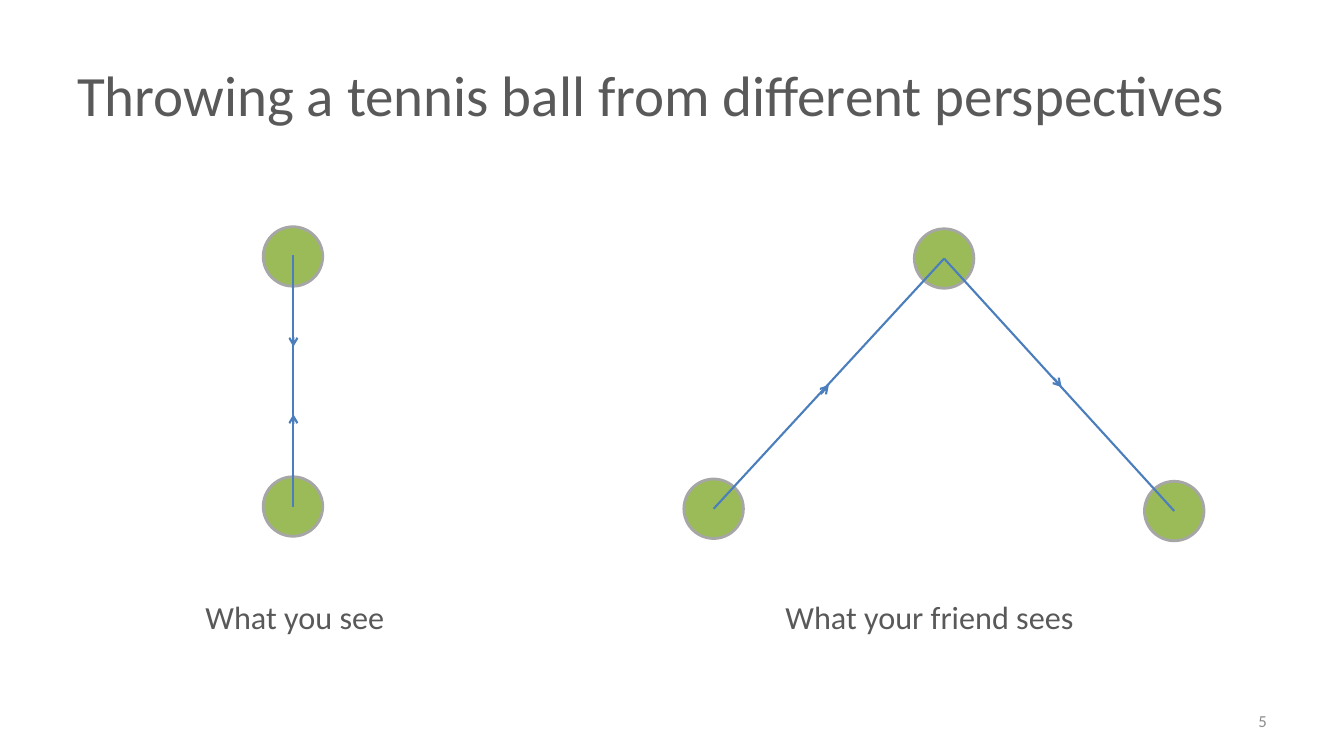
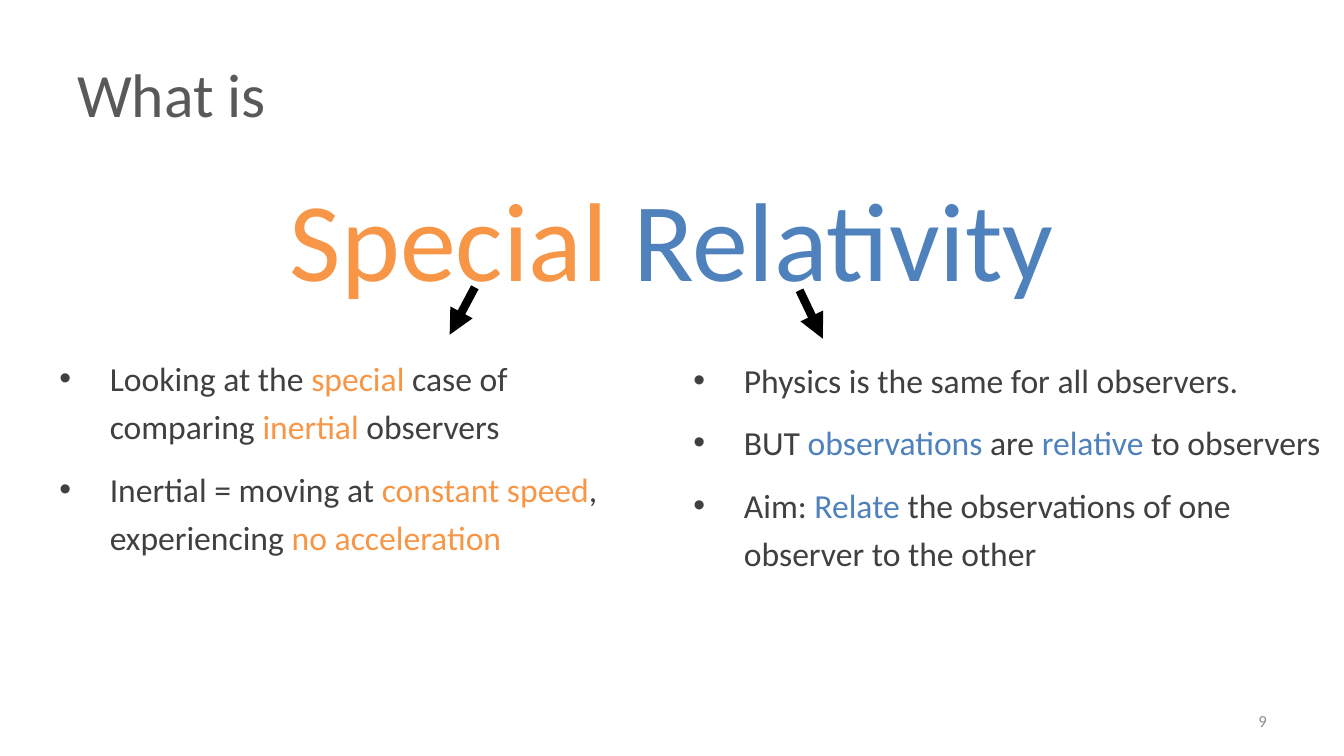
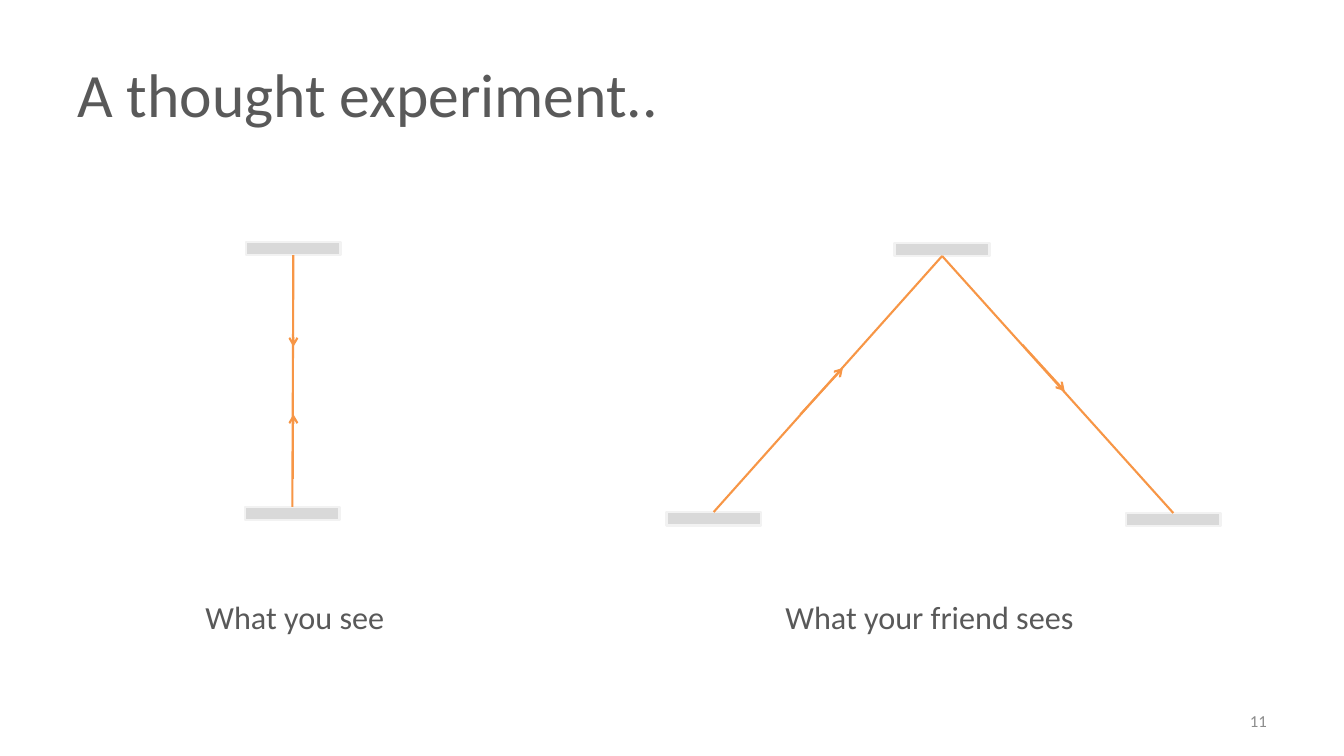
"""Build three slides on relative motion and special relativity."""
from lxml import etree
from pptx import Presentation
from pptx.dml.color import RGBColor
from pptx.enum.shapes import MSO_CONNECTOR, MSO_SHAPE
from pptx.enum.text import MSO_ANCHOR, PP_ALIGN
from pptx.oxml.ns import qn
from pptx.util import Inches, Pt

STRAIGHT = MSO_CONNECTOR.STRAIGHT
BALL, MIRROR = MSO_SHAPE.OVAL, MSO_SHAPE.RECTANGLE
TOP, MIDDLE = MSO_ANCHOR.TOP, MSO_ANCHOR.MIDDLE
LEFT, CENTER, RIGHT = PP_ALIGN.LEFT, PP_ALIGN.CENTER, PP_ALIGN.RIGHT
TOP_SITE, BOTTOM_SITE = 0, 2

SLIDE_W, SLIDE_H = Inches(13.33), Inches(7.5)
COL, ROW = SLIDE_W / 100, SLIDE_H / 100

FONT = "Calibri"
TITLE_GREY = RGBColor(0x59, 0x59, 0x59)
BODY_GREY = RGBColor(0x40, 0x40, 0x40)
NUMBER_GREY = RGBColor(0x8C, 0x8C, 0x8C)
ORANGE = RGBColor(0xF7, 0x96, 0x46)
BLUE = RGBColor(0x4F, 0x81, 0xBD)
RAY_BLUE = RGBColor(0x4B, 0x7E, 0xBC)
BLACK = RGBColor(0, 0, 0)

BALL_LOOK = {"kind": BALL, "size": (4.43, 7.87),
             "fill": RGBColor(0x9B, 0xBB, 0x59), "edge": RGBColor(0xA6, 0xA6, 0xA6)}
MIRROR_LOOK = {"kind": MIRROR, "size": (7.05, 1.73),
               "fill": RGBColor(0xD9, 0xD9, 0xD9), "edge": RGBColor(0xF2, 0xF2, 0xF2)}

BALL_SPOTS = ((21.8, 33.93), (21.8, 67), (70.25, 34.2), (53.1, 67.3), (87.37, 67.6))
MIRROR_SPOTS = ((21.83, 32.87), (21.75, 67.93), (70.1, 33), (53.1, 68.6), (87.3, 68.73))
TRIPS = ((1, 0), (3, 2), (4, 2))
YOU_HEADINGS = (((21.83, 63.33), (21.83, 54.8)), ((21.83, 33.73), (21.83, 45.87)))
BALL_HEADINGS = (((61.07, 52.13), (61.67, 50.93)), ((78.39, 50), (78.99, 51.2)))
LIGHT_HEADINGS = (((59.56, 54.8), (62.72, 48.67)), ((76.07, 45.6), (79.22, 51.73)))

SPECIAL_POINTS = (
    (("Looking at the ", BODY_GREY), ("special", ORANGE), (" case of comparing ", BODY_GREY),
     ("inertial", ORANGE), (" observers", BODY_GREY)),
    (("Inertial = moving at ", BODY_GREY), ("constant speed", ORANGE),
     (", experiencing ", BODY_GREY), ("no acceleration", ORANGE)),
)
RELATIVITY_POINTS = (
    (("Physics is the same for all observers.", BODY_GREY),),
    (("BUT", BODY_GREY), (" observations ", BLUE), ("are ", BODY_GREY),
     ("relative", BLUE), (" to observers", BODY_GREY)),
    (("Aim: ", BODY_GREY), ("Relate", BLUE),
     (" the observations of one observer to the other", BODY_GREY)),
)


def place(cols, rows):
    """Turn grid columns and rows into slide lengths."""
    return round(cols * COL), round(rows * ROW)


def add_bullet(paragraph):
    """Give a paragraph a round bullet with a hanging indent."""
    properties = paragraph._p.get_or_add_pPr()
    properties.set("marL", str(Inches(0.5)))
    properties.set("indent", str(-Inches(0.5)))
    etree.SubElement(properties, qn("a:buFont")).set("typeface", "Arial")
    etree.SubElement(properties, qn("a:buChar")).set("char", "•")


def add_text(slide, corner, size, paragraphs, points, align=LEFT, anchor=TOP, bullets=False):
    """Write paragraphs of (text, colour) runs in a wrapped box."""
    frame = slide.shapes.add_textbox(*place(*corner), *place(*size)).text_frame
    frame.word_wrap = True
    frame.vertical_anchor = anchor
    for index, runs in enumerate(paragraphs):
        paragraph = frame.add_paragraph() if index else frame.paragraphs[0]
        layout = {"alignment": align}
        if bullets:
            add_bullet(paragraph)
            layout.update(line_spacing=1.2, space_after=Pt(10))
        for name, value in layout.items():
            setattr(paragraph, name, value)
        for text, colour in runs:
            run = paragraph.add_run()
            run.text = text
            for name, value in {"name": FONT, "size": Pt(points)}.items():
                setattr(run.font, name, value)
            run.font.color.rgb = colour


def add_line(slide, start, end, colour, width=1.5, head=None):
    """Draw a straight line, with an arrowhead at its end if one is named."""
    line = slide.shapes.add_connector(STRAIGHT, *place(*start), *place(*end))
    line.line.color.rgb = colour
    line.line.width = Pt(width)
    if head:
        etree.SubElement(line.line._get_or_add_ln(), qn("a:tailEnd")).set("type", head)
    etree.SubElement(line._element.spPr, qn("a:effectLst"))
    return line


def add_marker(slide, center, look):
    """Draw a ball or mirror around its center."""
    corner = (middle - length / 2 for middle, length in zip(center, look["size"]))
    marker = slide.shapes.add_shape(look["kind"], *place(*corner), *place(*look["size"]))
    marker.shadow.inherit = False
    marker.fill.solid()
    marker.fill.fore_color.rgb = look["fill"]
    marker.line.color.rgb = look["edge"]
    marker.line.width = Pt(2)
    return marker


def add_slide(deck, title, number, title_points=44):
    """Start a slide with its title and slide number."""
    slide = deck.slides.add_slide(deck.slide_layouts[6])
    add_text(slide, (5, 4), (90, 16.67), [[(title, TITLE_GREY)]], title_points, anchor=MIDDLE)
    add_text(slide, (71.7, 92.7), (23.3, 5.3), [[(number, NUMBER_GREY)]], 12, RIGHT, MIDDLE)
    return slide


def add_perspectives(slide, look, spots, colour, headings, joined=False):
    """Show one motion as seen by you and by your friend."""
    markers = [add_marker(slide, spot, look) for spot in spots]
    for start, end in TRIPS:
        ray = add_line(slide, spots[start], spots[end], colour)
        if joined:
            ray.begin_connect(markers[start], TOP_SITE)
            ray.end_connect(markers[end], BOTTOM_SITE)
    for start, end in YOU_HEADINGS + headings:
        add_line(slide, start, end, colour, head="arrow")
    for left, width, caption in ((14.55, 18.3, "What you see"),
                                 (57.7, 24.2, "What your friend sees")):
        add_text(slide, (left, 78.4), (width, 8.4), [[(caption, TITLE_GREY)]], 23)


def add_definition(slide):
    """Split the term special relativity into its two explained words."""
    term = [[("Special ", ORANGE), ("Relativity", BLUE)]]
    add_text(slide, (5, 21.73), (90, 38.8), term, 80, CENTER)
    add_text(slide, (50.86, 45.87), (48.76, 30.53), RELATIVITY_POINTS, 24, bullets=True)
    add_text(slide, (3.68, 45.6), (43.96, 28.67), SPECIAL_POINTS, 24, bullets=True)
    for start, end in (((59.49, 38.4), (61.22, 44.8)), ((35.33, 38), (33.46, 44.27))):
        add_line(slide, start, end, BLACK, 6, "triangle")


def main():
    """Build and save the deck."""
    deck = Presentation()
    deck.slide_width, deck.slide_height = SLIDE_W, SLIDE_H
    throwing = add_slide(deck, "Throwing a tennis ball from different perspectives", "5", 40.7)
    add_perspectives(throwing, BALL_LOOK, BALL_SPOTS, RAY_BLUE, BALL_HEADINGS)
    add_definition(add_slide(deck, "What is", "9"))
    experiment = add_slide(deck, "A thought experiment..", "11")
    add_perspectives(experiment, MIRROR_LOOK, MIRROR_SPOTS, ORANGE, LIGHT_HEADINGS, joined=True)
    deck.save("out.pptx")


if __name__ == "__main__":
    main()
